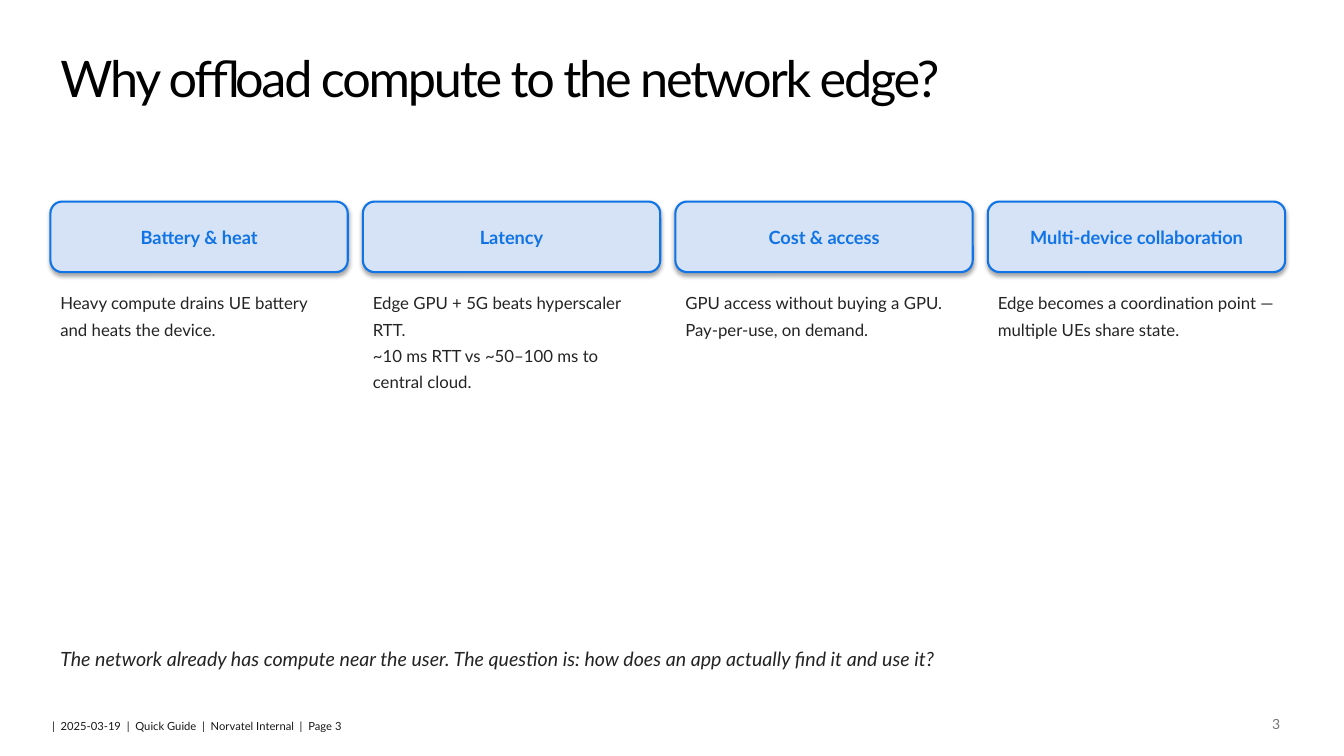
from lxml import etree
from pptx import Presentation
from pptx.dml.color import RGBColor
from pptx.enum.shapes import MSO_SHAPE
from pptx.enum.text import MSO_ANCHOR, PP_ALIGN
from pptx.oxml import parse_xml
from pptx.oxml.ns import nsdecls
from pptx.util import Pt

ROUNDED = MSO_SHAPE.ROUNDED_RECTANGLE
MIDDLE = MSO_ANCHOR.MIDDLE
LEFT, CENTER, RIGHT = PP_ALIGN.LEFT, PP_ALIGN.CENTER, PP_ALIGN.RIGHT

FONT = "Lato"
COLORS = {
    "title": "000000",
    "body": "242424",
    "accent": "1174E6",
    "card": "D6E2F5",
    "shadow": "000000",
    "footer": "181818",
    "page": "767676",
}

MARGIN = 36
CARD_WIDTH, CARD_HEIGHT, CARD_TOP = 212.4, 50.4, 144
CARD_PITCH = 223.2
REASONS = [
    ("Battery & heat", "Heavy compute drains UE battery and heats the device."),
    ("Latency", "Edge GPU + 5G beats hyperscaler RTT.\n"
                "~10 ms RTT vs ~50–100 ms to central cloud."),
    ("Cost & access", "GPU access without buying a GPU. Pay-per-use, on demand."),
    ("Multi-device collaboration",
     "Edge becomes a coordination point — multiple UEs share state."),
]


def write(shape, text, size, color, align=LEFT, spacing=None, bold=False, italic=False):
    """Fill a shape with wrapped text in one style."""
    text_frame = shape.text_frame
    text_frame.word_wrap = True
    text_frame.text = text
    for paragraph in text_frame.paragraphs:
        paragraph.alignment = align
        paragraph.line_spacing = spacing
        for run in paragraph.runs:
            run.font.name = FONT
            run.font.size = Pt(size)
            run.font.bold = bold
            run.font.italic = italic
            run.font.color.rgb = RGBColor.from_string(COLORS[color])
    return text_frame


def add_text(left, top, width, height, *style, **options):
    box = slide.shapes.add_textbox(Pt(left), Pt(top), Pt(width), Pt(height))
    return write(box, *style, **options)


presentation = Presentation()
presentation.slide_width = Pt(960)
presentation.slide_height = Pt(540)
slide = presentation.slides.add_slide(presentation.slide_layouts[6])

# Title
title = add_text(37.44, 37.44, 658, 85, "Why offload compute to the network edge?",
                 36, "title", spacing=0.85)
title.margin_left, title.margin_top = Pt(5.76), Pt(2.88)
title.margin_right = title.margin_bottom = 0
title.paragraphs[0].runs[0].font._element.set("spc", "-160")

# Reason cards, each with its explanation below
for index, (heading, explanation) in enumerate(REASONS):
    left = MARGIN + index * CARD_PITCH
    card = slide.shapes.add_shape(ROUNDED, Pt(left), Pt(CARD_TOP),
                                  Pt(CARD_WIDTH), Pt(CARD_HEIGHT))
    card.fill.solid()
    card.fill.fore_color.rgb = RGBColor.from_string(COLORS["card"])
    card.line.color.rgb = RGBColor.from_string(COLORS["accent"])
    card.line.width = Pt(1.5)
    card.shadow.inherit = False
    effects = card._element.spPr.find("{*}effectLst")
    effects.append(parse_xml(
        f'<a:outerShdw {nsdecls("a")} blurRad="{Pt(3.1)}" dist="{Pt(1.8)}" '
        f'dir="5400000" rotWithShape="0"/>'))
    shadow_color = etree.SubElement(effects[0], effects.tag.replace("effectLst", "srgbClr"),
                                    val=COLORS["shadow"])
    etree.SubElement(shadow_color, effects.tag.replace("effectLst", "alpha"), val="35000")
    write(card, heading, 13, "accent", align=CENTER, bold=True).vertical_anchor = MIDDLE
    add_text(left, 201.6, CARD_WIDTH, 252, explanation, 12, "body", spacing=1.3)

# Closing question
add_text(MARGIN, 453.6, 885.6, 36,
         "The network already has compute near the user. "
         "The question is: how does an app actually find it and use it?",
         14, "body", spacing=1.3, italic=True)

# Footer and page number
footer = add_text(37.2, 514.08, 208.8, 9.6,
                  "|  " + "  |  ".join(["2025-03-19", "Quick Guide", "Norvatel Internal", "Page 3"]),
                  8, "footer")
footer.word_wrap = False
footer.margin_left = footer.margin_top = footer.margin_right = footer.margin_bottom = 0
add_text(864, 507.6, 57.6, 21.6, "3", 10, "page", align=RIGHT)

presentation.save("out.pptx")
